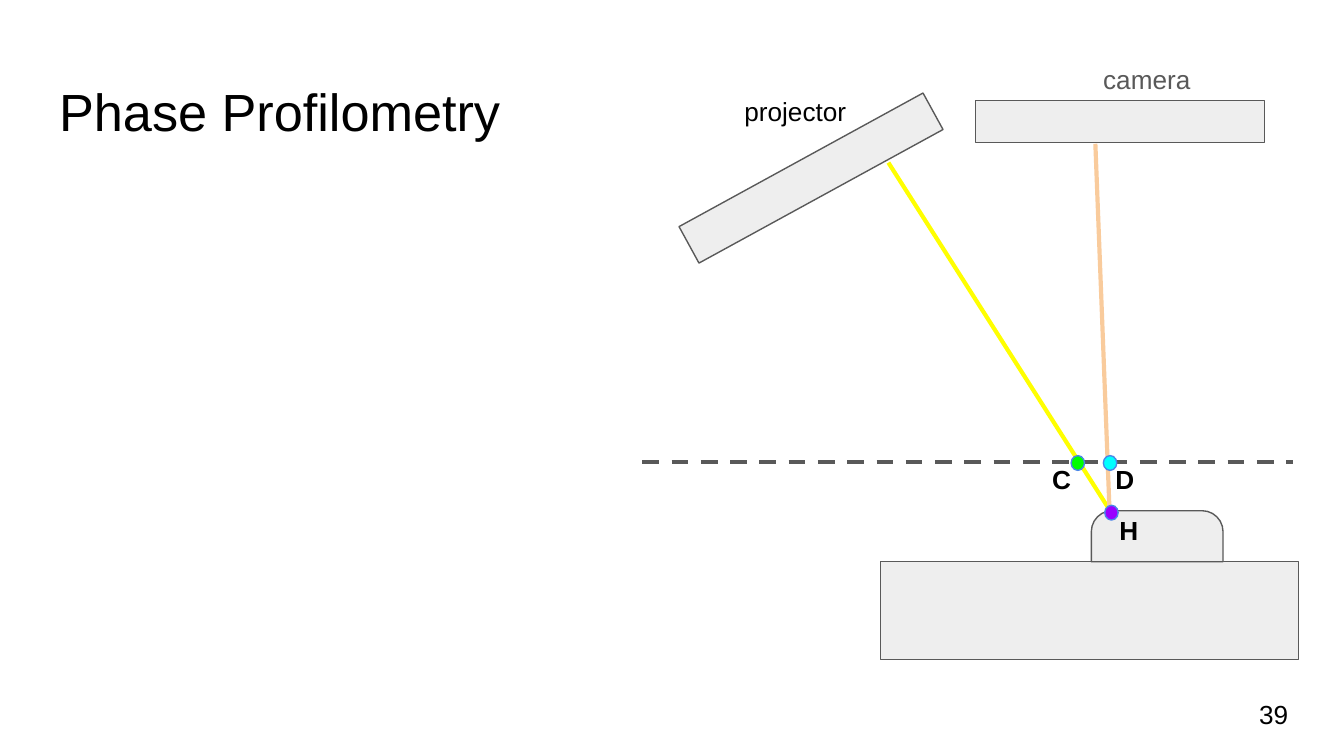
from lxml.etree import SubElement
from pptx import Presentation
from pptx.dml.color import RGBColor
from pptx.enum.dml import MSO_LINE
from pptx.enum.shapes import MSO_CONNECTOR, MSO_SHAPE
from pptx.enum.text import MSO_ANCHOR, PP_ALIGN
from pptx.oxml.ns import qn
from pptx.util import Inches, Pt

BLACK = RGBColor(0x00, 0x00, 0x00)
GRAY = RGBColor(0x59, 0x59, 0x59)
LIGHT_GRAY = RGBColor(0xEE, 0xEE, 0xEE)
YELLOW = RGBColor(0xFF, 0xFF, 0x00)
PEACH = RGBColor(0xF9, 0xCB, 0x9C)
PURPLE = RGBColor(0x99, 0x00, 0xFF)
GREEN = RGBColor(0x00, 0xFF, 0x00)
CYAN = RGBColor(0x00, 0xFF, 0xFF)
BLUE = RGBColor(0x4A, 0x86, 0xE8)

presentation = Presentation()
presentation.slide_width = Inches(10)
presentation.slide_height = Inches(10 * 9 / 16)
slide = presentation.slides.add_slide(presentation.slide_layouts[5])


def write_text(shape, text, size, color=BLACK, bold=False, anchor=MSO_ANCHOR.TOP):
    frame = shape.text_frame
    frame.word_wrap = True
    frame.vertical_anchor = anchor
    frame.margin_left = frame.margin_right = Inches(0.1)
    frame.margin_top = frame.margin_bottom = Inches(0.1)
    paragraph = frame.paragraphs[0]
    paragraph.alignment = PP_ALIGN.LEFT
    run = paragraph.add_run()
    run.text = text
    run.font.name = "Arial"
    run.font.size = Pt(size)
    run.font.bold = bold
    run.font.color.rgb = color


def add_solid(kind, left, top, width, height, fill=LIGHT_GRAY, line=GRAY):
    shape = slide.shapes.add_shape(
        kind, Inches(left), Inches(top), Inches(width), Inches(height))
    shape.shadow.inherit = False
    shape.fill.solid()
    shape.fill.fore_color.rgb = fill
    shape.line.color.rgb = line
    shape.line.width = Pt(0.75)
    return shape


title = slide.shapes.title
title.left, title.top = Inches(0.34), Inches(0.49)
title.width, title.height = Inches(3.82), Inches(0.63)
write_text(title, "Phase Profilometry", 28)

camera = add_solid(MSO_SHAPE.RECTANGLE, 7.26, 0.75, 2.15, 0.31)
projector = add_solid(MSO_SHAPE.RECTANGLE, 5, 1.17, 2.07, 0.31)
projector.rotation = 331.3

rays = [
    (4.78, 3.44, 9.62, 3.44, GRAY, MSO_LINE.DASH),
    (6.61, 1.21, 8.47, 4.13, YELLOW, MSO_LINE.SOLID),
    (8.15, 1.07, 8.27, 4.17, PEACH, MSO_LINE.SOLID),
]
for x1, y1, x2, y2, color, dash in rays:
    connector = slide.shapes.add_connector(
        MSO_CONNECTOR.STRAIGHT, Inches(x1), Inches(y1), Inches(x2), Inches(y2))
    connector.line.color.rgb = color
    connector.line.width = Pt(2.25)
    connector.line.dash_style = dash
    SubElement(connector.element.spPr, qn("a:effectLst"))

base = add_solid(MSO_SHAPE.RECTANGLE, 6.55, 4.18, 3.11, 0.73)
measured_object = add_solid(MSO_SHAPE.ROUND_2_SAME_RECTANGLE, 8.12, 3.8, 0.98, 0.38)
measured_object.adjustments[0] = 0.41
measured_object.adjustments[1] = 0

for left, top, color in [(8.22, 3.76, PURPLE), (7.97, 3.39, GREEN), (8.21, 3.39, CYAN)]:
    add_solid(MSO_SHAPE.OVAL, left, top, 0.1, 0.11, color, BLUE)

labels = [
    ("H", 8.23, 3.73, 0.35, BLACK, True),
    ("C", 7.73, 3.35, 0.35, BLACK, True),
    ("D", 8.2, 3.35, 0.35, BLACK, True),
    ("projector", 5.44, 0.61, 0.98, BLACK, False),
    ("camera", 8.11, 0.37, 0.86, GRAY, False),
]
for text, left, top, width, color, bold in labels:
    label = slide.shapes.add_textbox(
        Inches(left), Inches(top), Inches(width), Inches(0.38))
    write_text(label, text, 14, color, bold)

page_number = slide.shapes.add_textbox(
    Inches(9.27), Inches(5.1), Inches(0.6), Inches(0.43))
write_text(page_number, "39", 14, anchor=MSO_ANCHOR.MIDDLE)

presentation.save("out.pptx")
